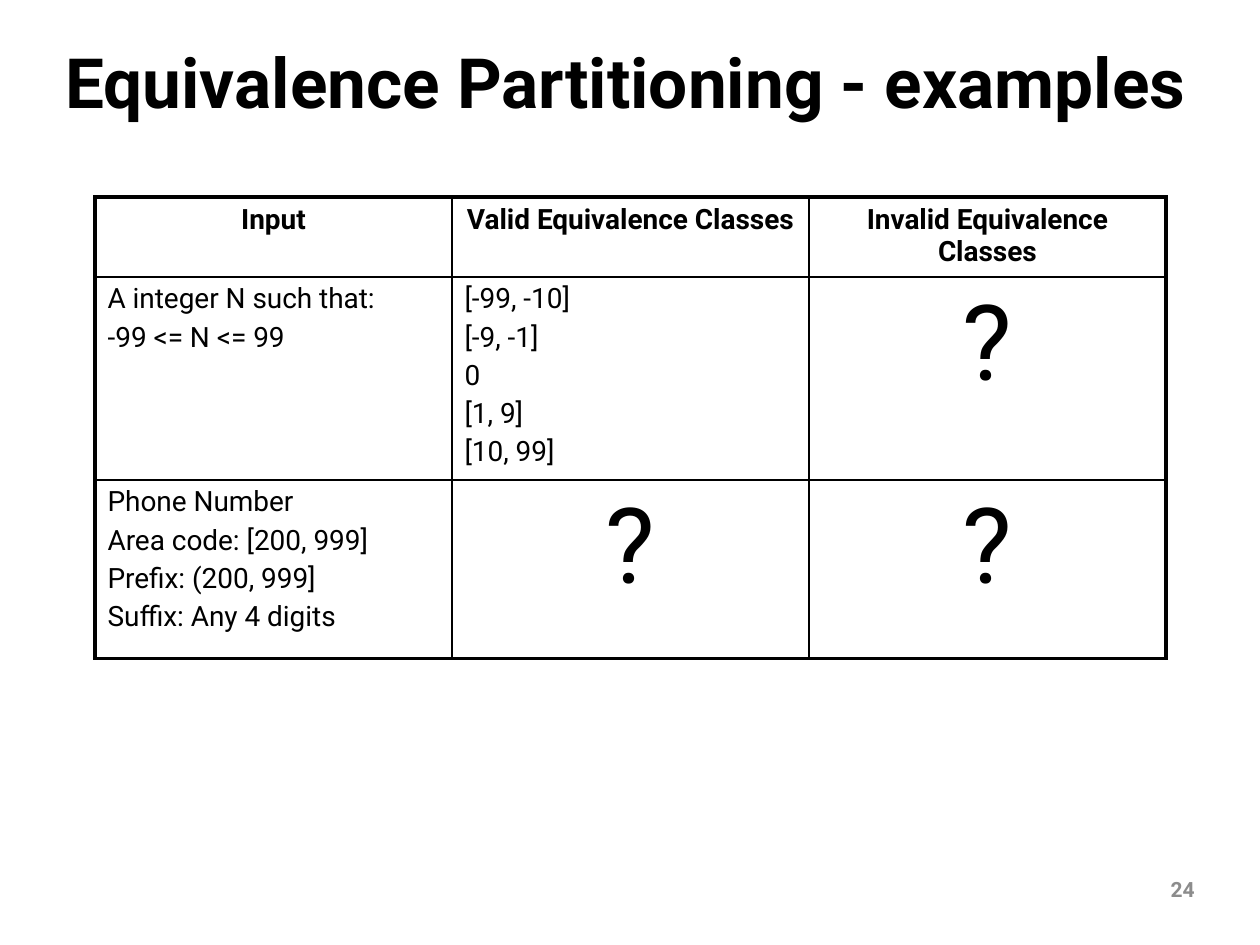
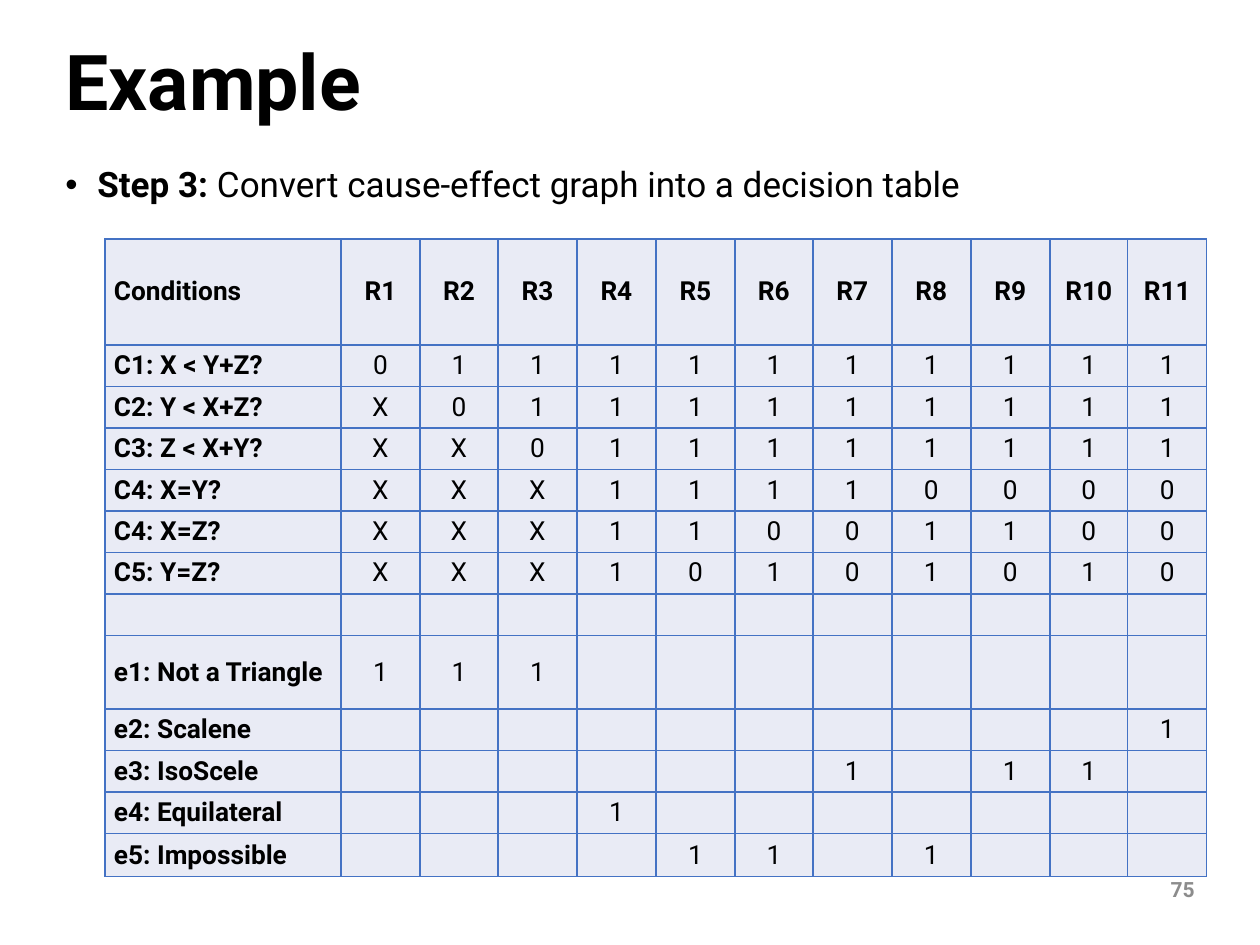
from lxml import etree
from pptx import Presentation
from pptx.dml.color import RGBColor
from pptx.enum.text import MSO_ANCHOR, PP_ALIGN
from pptx.oxml.ns import qn
from pptx.util import Emu, Pt

LEFT, CENTER, RIGHT = PP_ALIGN.LEFT, PP_ALIGN.CENTER, PP_ALIGN.RIGHT
TOP, MIDDLE = MSO_ANCHOR.TOP, MSO_ANCHOR.MIDDLE

EMU_PER_PX = 914400 / 126
SLIDE_WIDTH, SLIDE_HEIGHT = 1260, 945
FONT = "Roboto"
COLORS = {
    "text": "000000",
    "page_number": "8C8C8C",
    "grid": "4472C4",
    "cell": "E9EBF5",
}
THIN, THICK = 1, 2.25


def px(length):
    return Emu(round(length * EMU_PER_PX))


def color(name):
    return RGBColor.from_string(COLORS[name])


class Deck:
    """Holds the shared style and the slide being built."""

    def __init__(self):
        self.presentation = Presentation()
        self.presentation.slide_width = px(SLIDE_WIDTH)
        self.presentation.slide_height = px(SLIDE_HEIGHT)
        self.slide = None

    def add_slide(self, title, number):
        layout = self.presentation.slide_layouts[6]
        self.slide = self.presentation.slides.add_slide(layout)
        title_size = 44 if len(title) < 30 else 39.6
        paragraph = self.add_text(53, 37, 1153, 98, title, title_size, True, anchor=MIDDLE)
        paragraph.line_spacing = 0.9
        self.add_text(1072, 864, 135, 50, str(number), 12, True, RIGHT, MIDDLE, "page_number")

    def add_text(self, left, top, width, height, text, size, bold=False,
                 align=LEFT, anchor=TOP, color_name="text"):
        """Add a wrapping text box and return its first paragraph."""
        box = self.slide.shapes.add_textbox(px(left), px(top), px(width), px(height))
        text_frame = box.text_frame
        text_frame.word_wrap = True
        text_frame.vertical_anchor = anchor
        self.set_text(text_frame, text, size, bold, align, color_name)
        return text_frame.paragraphs[0]

    def set_text(self, text_frame, text, size, bold, align, color_name="text"):
        """Set the text, one paragraph a line, with 20% of the size between them."""
        text_frame.text = text
        for index, paragraph in enumerate(text_frame.paragraphs):
            paragraph.alignment = align
            if index:
                paragraph.space_before = Pt(size * 0.2)
            for run in paragraph.runs:
                self.format_run(run, size, bold, color_name)
            if not paragraph.runs:
                end = etree.SubElement(paragraph._p, qn("a:endParaRPr"))
                end.set("sz", str(size * 100))

    def format_run(self, run, size, bold, color_name="text"):
        run.font.name = FONT
        run.font.size = Pt(size)
        run.font.bold = bold
        run.font.color.rgb = color(color_name)

    def add_bullet(self, left, top, width, height, lead, text, size):
        """Add a bulleted line that opens with a bold lead."""
        paragraph = self.add_text(left, top, width, height, lead, size, True)
        properties = paragraph._p.get_or_add_pPr()
        properties.set("marL", str(px(32)))
        properties.set("indent", str(-px(32)))
        bullet_font = etree.SubElement(properties, qn("a:buFont"))
        bullet_font.set("typeface", "Arial")
        etree.SubElement(properties, qn("a:buChar")).set("char", "•")
        paragraph.line_spacing = 0.9
        run = paragraph.add_run()
        run.text = text
        self.format_run(run, size, False)

    def add_table(self, left, top, widths, heights):
        frame = self.slide.shapes.add_table(
            len(heights), len(widths), px(left), px(top), px(sum(widths)), px(sum(heights)))
        table = frame.table
        table.first_row = table.horz_banding = False
        for column, width in zip(table.columns, widths):
            column.width = px(width)
        for row, height in zip(table.rows, heights):
            row.height = px(height)
        return table

    def set_borders(self, table, color_name, outer):
        """Draw thin inner lines and outer lines of the given width."""
        last_row, last_column = len(table.rows) - 1, len(table.columns) - 1
        for row in range(last_row + 1):
            for column in range(last_column + 1):
                on_edge = {"a:lnL": column == 0, "a:lnR": column == last_column,
                           "a:lnT": row == 0, "a:lnB": row == last_row}
                properties = table.cell(row, column)._tc.get_or_add_tcPr()
                for tag, is_outer in on_edge.items():
                    line = etree.SubElement(properties, qn(tag))
                    line.set("w", str(Pt(outer if is_outer else THIN)))
                    fill = etree.SubElement(line, qn("a:solidFill"))
                    etree.SubElement(fill, qn("a:srgbClr")).set("val", COLORS[color_name])


def build_partitioning(deck):
    deck.add_slide("Equivalence Partitioning - examples", 24)
    rows = [
        ["Input", "Valid Equivalence Classes", "Invalid Equivalence Classes"],
        ["A integer N such that:\n-99 <= N <= 99",
         "[-99, -10]\n[-9, -1]\n0\n[1, 9]\n[10, 99]", "?"],
        ["Phone Number\nArea code: [200, 999]\nPrefix: (200, 999]\nSuffix: Any 4 digits",
         "?", "?"],
    ]
    table = deck.add_table(95, 197, [357] * 3, [78, 198, 179])
    deck.set_borders(table, "text", THICK)
    for row_index, row in enumerate(rows):
        for column_index, text in enumerate(row):
            cell = table.cell(row_index, column_index)
            cell.fill.background()
            is_header, is_open = row_index == 0, text == "?"
            deck.set_text(cell.text_frame, text, 60 if is_open else 16, is_header,
                          CENTER if is_header or is_open else LEFT)


def build_decision_table(deck):
    deck.add_slide("Example", 75)
    deck.add_bullet(53, 161, 1153, 677, "Step 3: ",
                    "Convert cause-effect graph into a decision table", 20)
    rule_count = 11
    rules = range(1, rule_count + 1)
    conditions = [
        ("C1: X < Y+Z?", "01111111111"),
        ("C2: Y < X+Z?", "X0111111111"),
        ("C3: Z < X+Y?", "XX011111111"),
        ("C4: X=Y?", "XXX11110000"),
        ("C4: X=Z?", "XXX11001100"),
        ("C5: Y=Z?", "XXX10101010"),
    ]
    effects = [
        ("e1: Not a Triangle", [1, 2, 3]),
        ("e2: Scalene", [11]),
        ("e3: IsoScele", [7, 9, 10]),
        ("e4: Equilateral", [4]),
        ("e5: Impossible", [5, 6, 8]),
    ]
    rows = [["Conditions", *(f"R{rule}" for rule in rules)]]
    rows += [[name, *values] for name, values in conditions]
    rows.append([""] * (rule_count + 1))
    rows += [[name, *("1" if rule in hits else "" for rule in rules)]
             for name, hits in effects]

    edges = [round(index * 866 / rule_count) for index in range(rule_count + 1)]
    widths = [236, *(end - start for start, end in zip(edges, edges[1:]))]
    heights = [106] + [41] * 7 + [74] + [41] * 3 + [43]
    table = deck.add_table(105, 239, widths, heights)
    deck.set_borders(table, "grid", THIN)
    for row_index, row in enumerate(rows):
        for column_index, text in enumerate(row):
            cell = table.cell(row_index, column_index)
            cell.fill.solid()
            cell.fill.fore_color.rgb = color("cell")
            cell.vertical_anchor = MIDDLE
            cell.margin_left = cell.margin_right = px(9)
            cell.margin_top = cell.margin_bottom = px(5)
            deck.set_text(cell.text_frame, text, 15, row_index == 0 or column_index == 0,
                          CENTER if column_index else LEFT)


def main():
    deck = Deck()
    build_partitioning(deck)
    build_decision_table(deck)
    deck.presentation.save("out.pptx")


if __name__ == "__main__":
    main()
